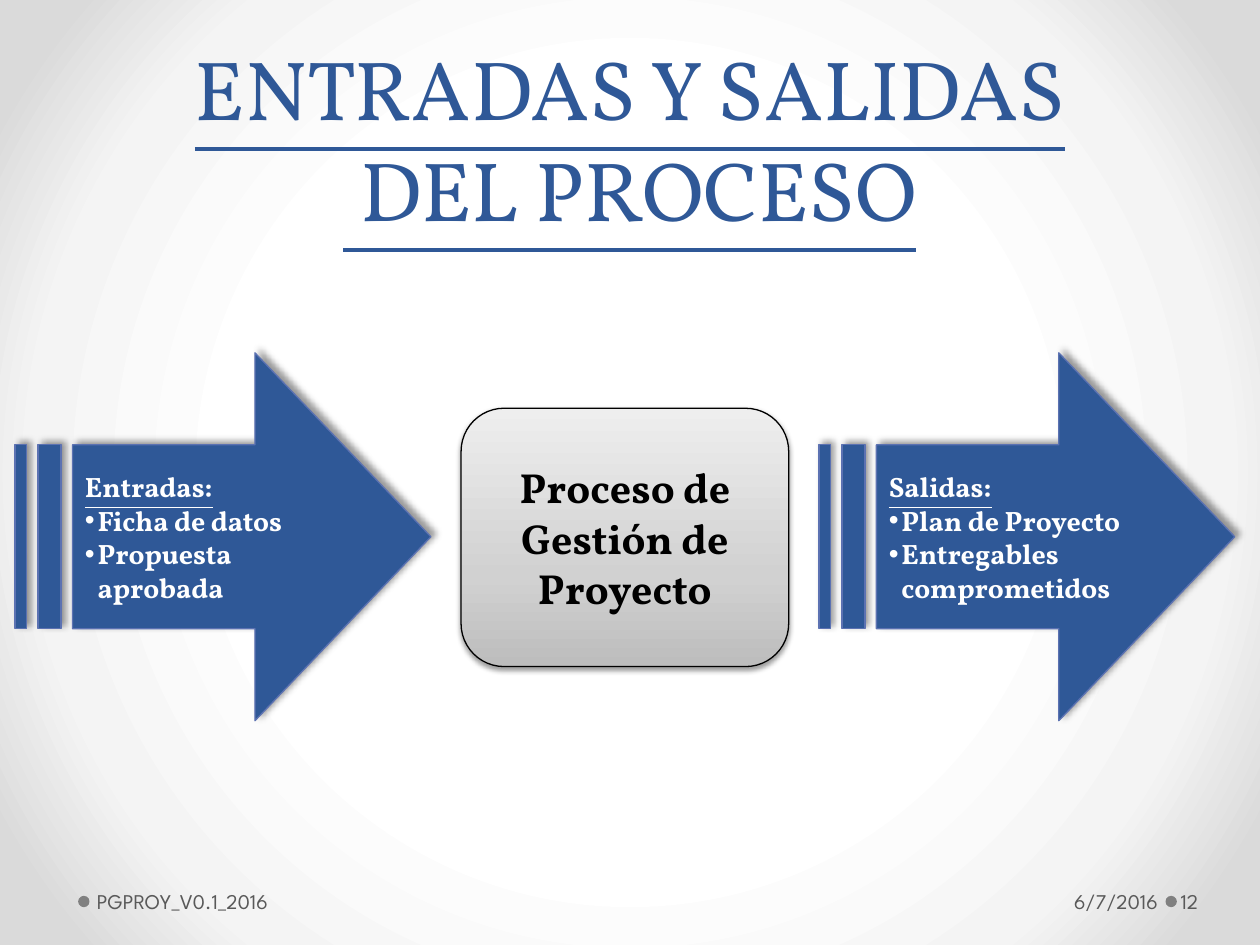
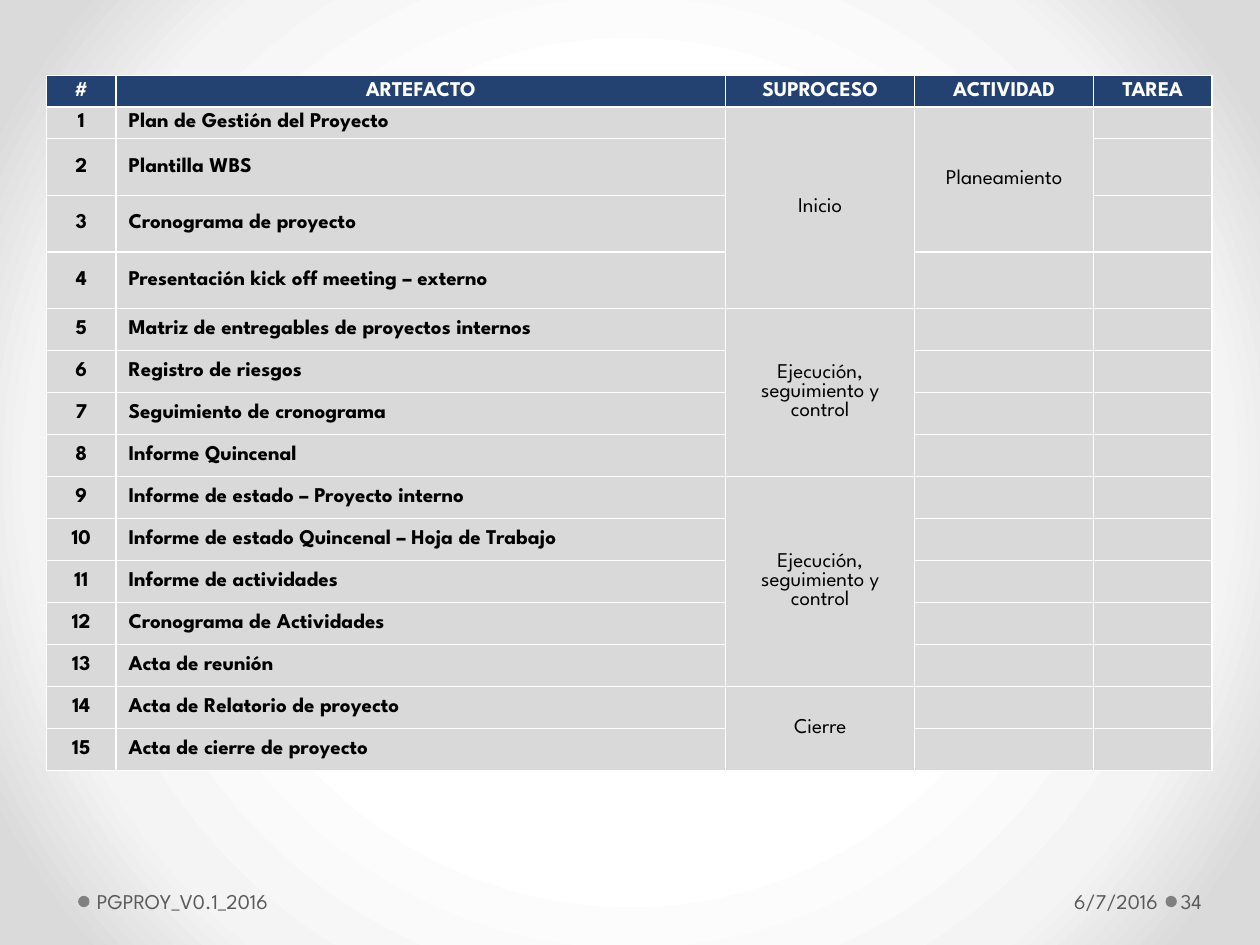
from dataclasses import dataclass
from itertools import accumulate
from typing import Any

from lxml import etree
from pptx import Presentation
from pptx import util as u
from pptx.dml.color import RGBColor
from pptx.enum import shapes, text
from pptx.oxml import ns

COLORS = {
    "blue": "2F5897", "outline": "5C72B2", "header": "234271", "cell": "D9D9D9",
    "white": "FFFFFF", "black": "000000", "footer": "595959", "dot": "808080",
}
BACKGROUND_STOPS = [(50, "FFFFFF"), (76, "F4F4F4"), (92, "DADADA")]
PROCESS_STOPS = [(0, "BDBDBD"), (35, "D1D1D1"), (100, "EEEEEE")]
SERIF, SANS = "Vollkorn", "League Spartan"
LEFT, CENTER = text.PP_ALIGN.LEFT, text.PP_ALIGN.CENTER
RIGHT, JUSTIFY = text.PP_ALIGN.RIGHT, text.PP_ALIGN.JUSTIFY
MIDDLE = text.MSO_ANCHOR.MIDDLE

TITLE_FONT = {"name": SERIF, "size": u.Pt(48), "bold": False, "underline": True}
HEADING_FONT = {"name": SERIF, "size": u.Pt(16), "bold": True, "underline": True}
ITEM_FONT = HEADING_FONT | {"underline": False}
PROCESS_FONT = {"name": SERIF, "size": u.Pt(24), "bold": True}
FOOTER_FONT = {"name": SANS, "size": u.Pt(12)}
CELL_FONT = FOOTER_FONT | {"bold": False}
STRONG_FONT = FOOTER_FONT | {"bold": True}

BODY_CELL = {"vertical_anchor": MIDDLE, "margin_top": u.Inches(0.02),
             "margin_bottom": u.Inches(0.02)}
HEADER_CELL = {"vertical_anchor": text.MSO_ANCHOR.TOP, "margin_top": u.Inches(0.05),
               "margin_bottom": 0}


@dataclass
class Box:
    left: float
    top: float
    width: float
    height: float

    def lengths(self) -> list[u.Length]:
        return [u.Inches(v) for v in (self.left, self.top, self.width, self.height)]


@dataclass
class Flow:
    left: float
    heading: str
    items: list[str]


@dataclass
class Shadow:
    alpha: int
    blur: float
    distance: float
    angle: int


@dataclass
class FooterPart:
    box: Box
    align: Any
    left_inset: float
    right_inset: float


@dataclass
class Stage:
    name: str
    first: int
    last: int
    column: int


FLOWS = [
    Flow(0.12, "Entradas:", ["Ficha de datos", "Propuesta aprobada"]),
    Flow(6.5, "Salidas:", ["Plan de Proyecto", "Entregables comprometidos"]),
]
NUMBER_PART = FooterPart(Box(9.34, 6.95, 0.61, 0.4), LEFT, 0.03, 0.05)
DATE_PART = FooterPart(Box(6.96, 6.95, 2.28, 0.4), RIGHT, 0.1, 0.05)
DOCUMENT_PART = FooterPart(Box(0.72, 6.95, 3.96, 0.4), LEFT, 0.05, 0.1)
DOT_LEFTS = [0.62, 9.25]

HEADERS = ["#", "ARTEFACTO", "SUPROCESO", "ACTIVIDAD", "TAREA"]
ARTIFACTS = [
    "Plan de Gestión del Proyecto",
    "Plantilla WBS",
    "Cronograma de proyecto",
    "Presentación kick off meeting – externo",
    "Matriz de entregables de proyectos internos",
    "Registro de riesgos",
    "Seguimiento de cronograma",
    "Informe Quincenal",
    "Informe de estado – Proyecto interno",
    "Informe de estado Quincenal – Hoja de Trabajo",
    "Informe de actividades",
    "Cronograma de Actividades",
    "Acta de reunión",
    "Acta de Relatorio de proyecto",
    "Acta de cierre de proyecto",
]
STAGES = [
    Stage("Inicio", 1, 4, 2),
    Stage("Ejecución, seguimiento y control", 5, 8, 2),
    Stage("Ejecución, seguimiento y control", 9, 13, 2),
    Stage("Cierre", 14, 15, 2),
    Stage("Planeamiento", 1, 3, 3),
]
COLUMN_WIDTHS = [0.55, 4.84, 1.5, 1.42, 0.94]
ROW_HEIGHTS = [0.25] * 2 + [0.45] * 3 + [1 / 3] * 11


def rgb(color: str) -> RGBColor:
    return RGBColor.from_string(COLORS[color])


def assign(target: Any, values: dict[str, Any]) -> None:
    for key, value in values.items():
        setattr(target, key, value)


def add_xml(parent: Any, tag: str, **attributes: Any) -> Any:
    return etree.SubElement(parent, ns.qn(tag), {k: str(v) for k, v in attributes.items()})


def style(paragraph: Any, font: dict[str, Any], color: str, align: Any = LEFT) -> None:
    paragraph.alignment = align
    assign(paragraph.font, font)
    paragraph.font.color.rgb = rgb(color)
    for run in paragraph.runs:
        assign(run.font, font)
        run.font.color.rgb = rgb(color)


def set_stops(gradient: Any, stops: list[tuple[int, str]]) -> None:
    stop_list = gradient.find(ns.qn("a:gsLst"))
    for stop in list(stop_list):
        stop_list.remove(stop)
    for position, color in stops:
        stop = add_xml(stop_list, "a:gs", pos=position * 1000)
        add_xml(stop, "a:srgbClr", val=color)


def set_background(master: Any) -> None:
    master.background.fill.gradient()
    gradient = master.element.find(".//" + ns.qn("a:gradFill"))
    set_stops(gradient, BACKGROUND_STOPS)
    gradient.remove(gradient.find(ns.qn("a:lin")))
    circle = add_xml(gradient, "a:path", path="circle")
    add_xml(circle, "a:fillToRect", l=50000, t=50000, r=50000, b=50000)


def add_shadow(shape: Any, shadow: Shadow) -> None:
    shape.shadow.inherit = False
    effects = shape.element.spPr.find(ns.qn("a:effectLst"))
    outer = add_xml(effects, "a:outerShdw", blurRad=u.Pt(shadow.blur),
                    dist=u.Pt(shadow.distance), dir=shadow.angle * 60000, rotWithShape=0)
    shade = add_xml(outer, "a:srgbClr", val=COLORS["black"])
    add_xml(shade, "a:alpha", val=shadow.alpha * 1000)


def add_footer_part(slide: Any, part: FooterPart, content: str) -> None:
    frame = slide.shapes.add_textbox(*part.box.lengths()).text_frame
    assign(frame, {"word_wrap": True, "vertical_anchor": MIDDLE,
                   "margin_left": u.Inches(part.left_inset),
                   "margin_right": u.Inches(part.right_inset), "text": content})
    style(frame.paragraphs[0], FOOTER_FONT, "footer", part.align)


def add_footer(slide: Any, number: int) -> None:
    for left in DOT_LEFTS:
        dot = slide.shapes.add_shape(shapes.MSO_SHAPE.OVAL, *Box(left, 7.11, 0.09, 0.09).lengths())
        dot.shadow.inherit = False
        dot.fill.solid()
        dot.fill.fore_color.rgb = rgb("dot")
        dot.line.fill.background()
    add_footer_part(slide, NUMBER_PART, str(number))
    add_footer_part(slide, DATE_PART, "6/7/2016")
    add_footer_part(slide, DOCUMENT_PART, "PGPROY_V0.1_2016")


def add_title(slide: Any, content: str) -> None:
    title = slide.shapes.title
    assign(title, dict(zip(("left", "top", "width", "height"),
                           Box(0.28, 0.2, 9.44, 1.74).lengths())))
    assign(title.text_frame, {"text": content, "word_wrap": True,
                              "auto_size": text.MSO_AUTO_SIZE.NONE,
                              "vertical_anchor": text.MSO_ANCHOR.BOTTOM})
    style(title.text_frame.paragraphs[0], TITLE_FONT, "blue", CENTER)


def add_flow_arrow(slide: Any, flow: Flow) -> None:
    arrow = slide.shapes.add_shape(shapes.MSO_SHAPE.STRIPED_RIGHT_ARROW,
                                   *Box(flow.left, 2.8, 3.3, 2.92).lengths())
    arrow.adjustments[0], arrow.adjustments[1] = 0.5, 0.478
    arrow.fill.solid()
    arrow.fill.fore_color.rgb = rgb("blue")
    arrow.line.color.rgb = rgb("outline")
    arrow.line.width = u.Pt(0.75)
    add_shadow(arrow, Shadow(40, 4, 3, 315))
    frame = arrow.text_frame
    assign(frame, {"word_wrap": True, "vertical_anchor": MIDDLE, "text": flow.heading})
    style(frame.paragraphs[0], HEADING_FONT, "white")
    for item in flow.items:
        entry = frame.add_paragraph()
        entry.text = item
        properties = entry._p.get_or_add_pPr()
        properties.set("marL", str(u.Inches(0.1)))
        properties.set("indent", str(-u.Inches(0.1)))
        add_xml(properties, "a:buFont", typeface="Arial")
        add_xml(properties, "a:buChar", char="•")
        style(entry, ITEM_FONT, "white")


def add_process(slide: Any, content: str) -> None:
    process = slide.shapes.add_shape(shapes.MSO_SHAPE.ROUNDED_RECTANGLE,
                                     *Box(3.66, 3.24, 2.6, 2.05).lengths())
    process.fill.gradient()
    process.fill.gradient_angle = 90
    set_stops(process.element.spPr.find(ns.qn("a:gradFill")), PROCESS_STOPS)
    process.line.color.rgb = rgb("black")
    process.line.width = u.Pt(0.75)
    add_shadow(process, Shadow(38, 3.1, 1.6, 90))
    assign(process.text_frame, {"word_wrap": True, "vertical_anchor": MIDDLE, "text": content})
    style(process.text_frame.paragraphs[0], PROCESS_FONT, "black", CENTER)


def add_borders(cell: Any) -> None:
    properties = cell._tc.get_or_add_tcPr()
    for position, side in enumerate(("a:lnL", "a:lnR", "a:lnT", "a:lnB")):
        border = add_xml(properties, side, w=u.Pt(1))
        add_xml(add_xml(border, "a:solidFill"), "a:srgbClr", val=COLORS["white"])
        properties.insert(position, border)


def fill_cell(cell: Any, content: str, font: dict[str, Any], align: Any = CENTER,
              is_header: bool = False) -> None:
    cell.text = content
    assign(cell, HEADER_CELL if is_header else BODY_CELL)
    style(cell.text_frame.paragraphs[0], font, "white" if is_header else "black", align)
    cell.fill.solid()
    cell.fill.fore_color.rgb = rgb("header" if is_header else "cell")
    add_borders(cell)


def add_artifact_table(slide: Any) -> None:
    box = Box(0.37, 0.6, sum(COLUMN_WIDTHS), sum(ROW_HEIGHTS))
    table = slide.shapes.add_table(len(ROW_HEIGHTS), len(COLUMN_WIDTHS), *box.lengths()).table
    table.horz_banding = False
    for column, width in zip(table.columns, COLUMN_WIDTHS):
        column.width = u.Inches(width)
    edges = [u.Inches(edge) for edge in accumulate(ROW_HEIGHTS, initial=0)]
    for row, top, bottom in zip(table.rows, edges, edges[1:]):
        row.height = bottom - top
    for column, header in enumerate(HEADERS):
        fill_cell(table.cell(0, column), header, STRONG_FONT, is_header=True)
    stage_names = {(stage.first, stage.column): stage.name for stage in STAGES}
    for row, artifact in enumerate(ARTIFACTS, 1):
        fill_cell(table.cell(row, 0), str(row), STRONG_FONT)
        fill_cell(table.cell(row, 1), artifact, STRONG_FONT, JUSTIFY)
        for column in range(2, len(HEADERS)):
            fill_cell(table.cell(row, column), stage_names.get((row, column), ""), CELL_FONT)
    for stage in STAGES:
        table.cell(stage.first, stage.column).merge(table.cell(stage.last, stage.column))


def main() -> None:
    deck = Presentation()
    deck.slide_width, deck.slide_height = u.Inches(10), u.Inches(7.5)
    set_background(deck.slide_master)

    process_slide = deck.slides.add_slide(deck.slide_layouts.get_by_name("Title Only"))
    add_title(process_slide, "ENTRADAS Y SALIDAS\v DEL PROCESO")
    for flow in FLOWS:
        add_flow_arrow(process_slide, flow)
    add_process(process_slide, "Proceso de Gestión de Proyecto")
    add_footer(process_slide, 12)

    artifact_slide = deck.slides.add_slide(deck.slide_layouts.get_by_name("Blank"))
    add_artifact_table(artifact_slide)
    add_footer(artifact_slide, 34)

    deck.save("out.pptx")


if __name__ == "__main__":
    main()
